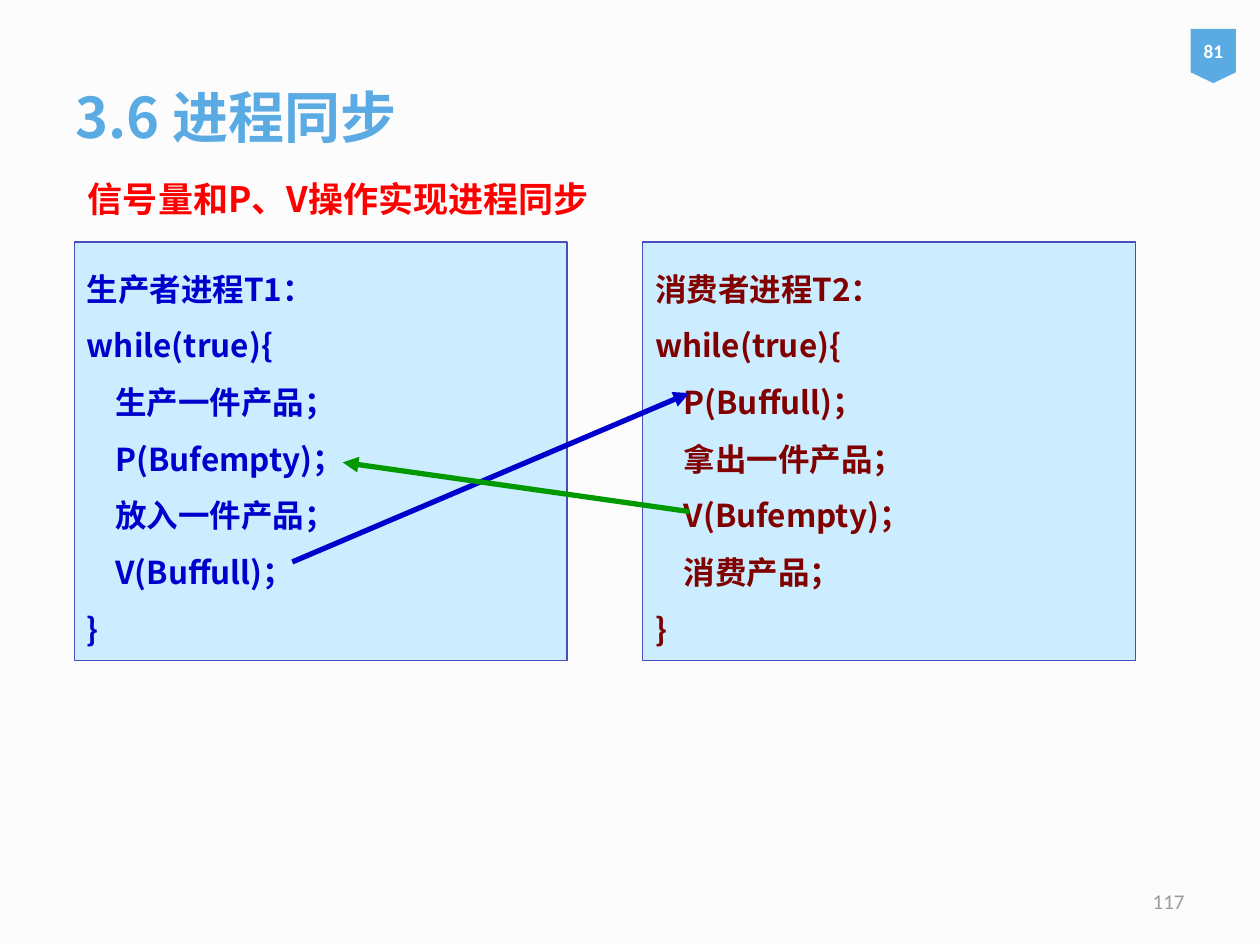
from lxml import etree
from pptx import Presentation
from pptx.dml.color import RGBColor
from pptx.enum.shapes import MSO_CONNECTOR, MSO_SHAPE
from pptx.enum.text import MSO_ANCHOR, PP_ALIGN
from pptx.oxml.ns import qn
from pptx.util import Inches, Pt

LEFT, CENTER, RIGHT, JUSTIFY = (PP_ALIGN.LEFT, PP_ALIGN.CENTER,
                                PP_ALIGN.RIGHT, PP_ALIGN.JUSTIFY)
TOP, MIDDLE = MSO_ANCHOR.TOP, MSO_ANCHOR.MIDDLE
RECT, BADGE = MSO_SHAPE.RECTANGLE, MSO_SHAPE.FLOWCHART_OFFPAGE_CONNECTOR
STRAIGHT = MSO_CONNECTOR.STRAIGHT

CJK, LATIN = "Noto Sans CJK SC", "Calibri"
SKY, PALE, BORDER = "5AAAE4", "CCECFF", "484EB9"
BLUE, MAROON, GREEN = "0000CC", "800000", "009900"

PRODUCER = ["生产者进程T1：", "while(true){", "    生产一件产品；",
            "    P(Bufempty)；", "    放入一件产品；", "    V(Buffull)；", "}"]
CONSUMER = ["消费者进程T2：", "while(true){", "    P(Buffull)；",
            "    拿出一件产品；", "    V(Bufempty)；", "    消费产品；", "}"]


def rgb(color):
    return RGBColor.from_string(color)


def write(s, lines, size, color, font=CJK, bold=True, align=LEFT,
          anchor=TOP, spacing=None):
    tf = s.text_frame
    tf.word_wrap = True
    tf.vertical_anchor = anchor
    for i, line in enumerate(lines):
        p = tf.paragraphs[0] if i == 0 else tf.add_paragraph()
        p.alignment = align
        if spacing:
            p.line_spacing = Pt(spacing)
        r = p.add_run()
        r.text = line
        for name, value in {"size": Pt(size), "bold": bold, "name": font}.items():
            setattr(r.font, name, value)
        r.font.color.rgb = rgb(color)
        etree.SubElement(r.font._element, qn("a:ea"), typeface=font)


def add_text(slide, box, text, size, color, **style):
    s = slide.shapes.add_textbox(*map(Inches, box))
    write(s, [text], size, color, **style)


def add_filled(slide, kind, box, fill):
    s = slide.shapes.add_shape(kind, *map(Inches, box))
    s.shadow.inherit = False
    s.fill.solid()
    s.fill.fore_color.rgb = rgb(fill)
    return s


def add_badge(slide, box, text):
    s = add_filled(slide, BADGE, box, SKY)
    s.line.fill.background()
    tf = s.text_frame
    for side in ("left", "right", "top", "bottom"):
        setattr(tf, f"margin_{side}", 0)
    write(s, [text], 11, "FFFFFF", font=LATIN, align=CENTER, anchor=MIDDLE)


def add_process(slide, box, lines, color):
    s = add_filled(slide, RECT, box, PALE)
    s.line.color.rgb = rgb(BORDER)
    s.line.width = Pt(0.75)
    s.text_frame.margin_top = Inches(0.07)
    write(s, lines, 18, color, align=JUSTIFY, spacing=32.4)


def add_arrow(slide, start, end, color):
    s = slide.shapes.add_connector(STRAIGHT, *map(Inches, start + end))
    s.line.color.rgb = rgb(color)
    s.line.width = Pt(3)
    etree.SubElement(s.line._get_or_add_ln(), qn("a:tailEnd"), type="triangle")
    etree.SubElement(s._element.spPr, qn("a:effectLst"))


def main():
    prs = Presentation()
    prs.slide_width, prs.slide_height = Inches(10), Inches(7.5)
    slide = prs.slides.add_slide(prs.slide_layouts[6])
    slide.background.fill.solid()
    slide.background.fill.fore_color.rgb = rgb("FCFCFC")

    add_text(slide, (0.5, 0.3, 9, 1.25), "3.6 进程同步", 32, SKY, anchor=MIDDLE)
    add_badge(slide, (9.45, 0.23, 0.36, 0.43), "81")
    add_text(slide, (0.6, 1.18, 8.74, 0.75), "信号量和P、V操作实现进程同步",
             20, "FF0000", spacing=37)

    for left, lines, color in ((0.59, PRODUCER, BLUE), (5.1, CONSUMER, MAROON)):
        add_process(slide, (left, 1.92, 3.91, 3.32), lines, color)
    add_arrow(slide, (2.32, 4.46), (5.47, 3.12), BLUE)
    add_arrow(slide, (5.47, 4.06), (2.72, 3.67), GREEN)

    add_text(slide, (7.17, 6.95, 2.33, 0.4), "117", 12, "9C9C9C", font=LATIN,
             bold=False, align=RIGHT, anchor=MIDDLE)
    prs.save("out.pptx")


if __name__ == "__main__":
    main()
